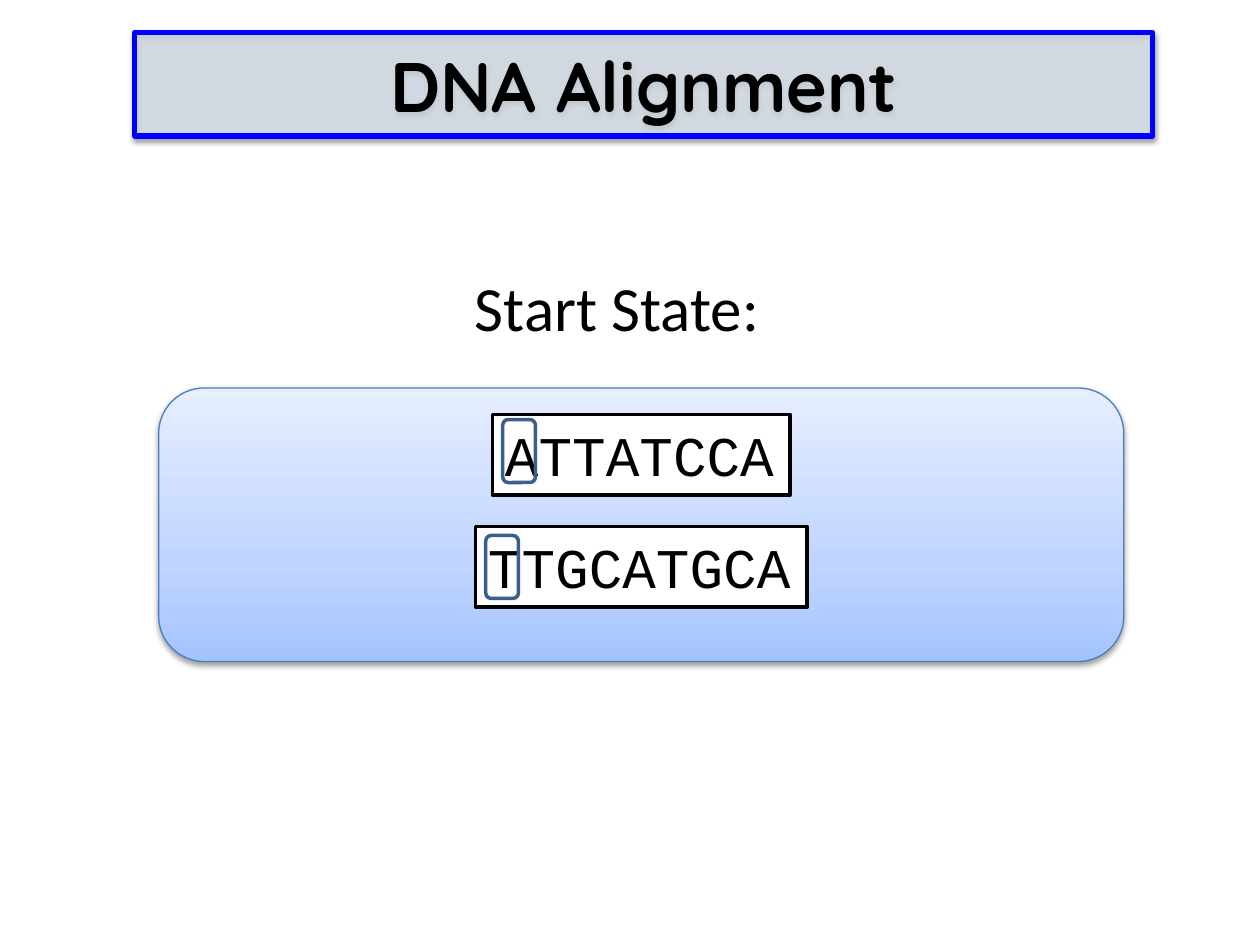
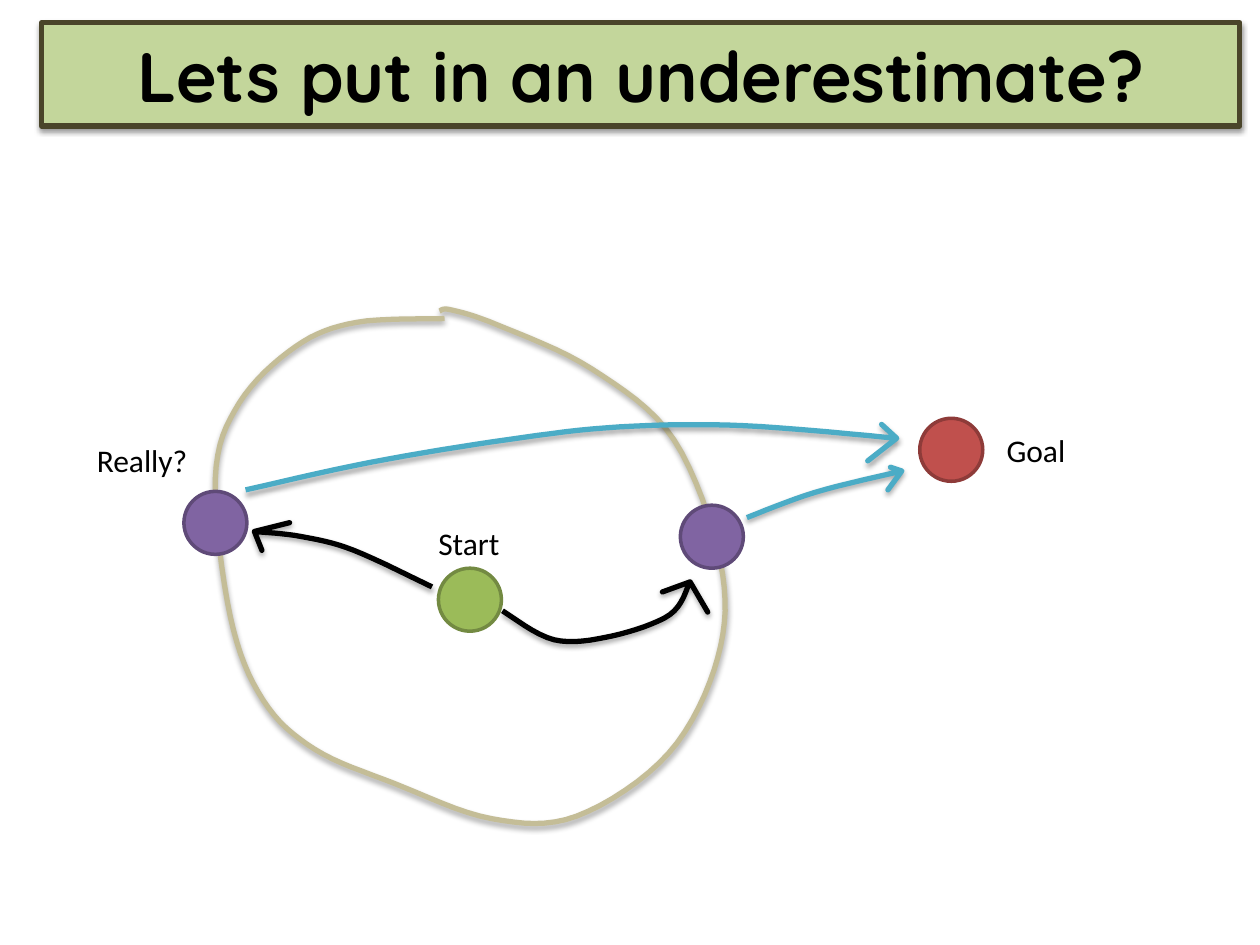
from copy import deepcopy
from lxml.etree import SubElement
from pptx import Presentation
from pptx.dml.color import RGBColor
from pptx.enum.shapes import MSO_SHAPE
from pptx.enum.text import MSO_ANCHOR, MSO_AUTO_SIZE, PP_ALIGN
from pptx.oxml.ns import qn
from pptx.util import Inches, Pt

BLACK = RGBColor(0x00, 0x00, 0x00)
WHITE = RGBColor(0xFF, 0xFF, 0xFF)
BLUE = RGBColor(0x00, 0x00, 0xFF)
PALE_BLUE = RGBColor(0xDC, 0xE6, 0xF2)
PANEL_EDGE = RGBColor(0x4B, 0x7E, 0xBC)
CURSOR_EDGE = RGBColor(0x3A, 0x5F, 0x8C)
LEAF = RGBColor(0xC3, 0xD6, 0x9B)
DARK_BROWN = RGBColor(0x4A, 0x45, 0x2A)
TAN = RGBColor(0xC4, 0xBD, 0x97)
TEAL = RGBColor(0x4B, 0xAC, 0xC6)
GREEN, GREEN_EDGE = RGBColor(0x9B, 0xBB, 0x59), RGBColor(0x73, 0x8A, 0x42)
RED, RED_EDGE = RGBColor(0xC0, 0x50, 0x4D), RGBColor(0x8E, 0x3B, 0x39)
PURPLE, PURPLE_EDGE = RGBColor(0x80, 0x64, 0xA2), RGBColor(0x5F, 0x4A, 0x78)
PANEL_STOPS = [
    (0, RGBColor(0xA4, 0xC4, 0xFF)),
    (0.35, RGBColor(0xBF, 0xD4, 0xFF)),
    (1, RGBColor(0xE6, 0xEE, 0xFF)),
]


def drop_shadow(shape, opacity, distance):
    """Cast a soft shadow downwards; opacity in percent, distance in points."""
    shape.shadow.inherit = False
    effects = shape._element.spPr.find(qn("a:effectLst"))
    shadow = SubElement(effects, qn("a:outerShdw"), blurRad=str(Pt(3.1)),
                        dist=str(Pt(distance)), dir="5400000", rotWithShape="0")
    color = SubElement(shadow, qn("a:srgbClr"), val="000000")
    SubElement(color, qn("a:alpha"), val=str(opacity * 1000))


def add_label(slide, text, left, top, width, height, size, font="Calibri"):
    label = slide.shapes.add_textbox(Inches(left), Inches(top), Inches(width), Inches(height))
    frame = label.text_frame
    frame.text = text
    frame.word_wrap = False
    frame.auto_size = MSO_AUTO_SIZE.SHAPE_TO_FIT_TEXT
    run_font = frame.paragraphs[0].runs[0].font
    run_font.name, run_font.size, run_font.color.rgb = font, Pt(size), BLACK
    return label


prs = Presentation()
prs.slide_width, prs.slide_height = Inches(10), Inches(7.5)

# Title bands
slides = []
for text, left, top, width, fill, edge in [
    ("DNA Alignment", 1.07, 0.26, 8.08, PALE_BLUE, BLUE),
    ("Lets put in an underestimate?", 0.33, 0.18, 9.51, LEAF, DARK_BROWN),
]:
    slide = prs.slides.add_slide(prs.slide_layouts[5])
    slides.append(slide)
    title = slide.shapes.title
    title.left, title.top = Inches(left), Inches(top)
    title.width, title.height = Inches(width), Inches(0.82)
    title.fill.solid()
    title.fill.fore_color.rgb = fill
    title.line.color.rgb = edge
    title.line.width = Pt(3)
    drop_shadow(title, 38, 1.6)
    frame = title.text_frame
    frame.text = text
    frame.auto_size = MSO_AUTO_SIZE.NONE
    frame.vertical_anchor = MSO_ANCHOR.MIDDLE
    paragraph = frame.paragraphs[0]
    paragraph.alignment = PP_ALIGN.CENTER
    font = paragraph.runs[0].font
    font.name, font.size, font.bold = "Quicksand", Pt(40), True
    font.color.rgb = BLACK
alignment, search = slides

# Slide 1: two strands on a panel, each with a cursor on its first base
band_color = alignment.shapes.title._element.spPr.find(qn("a:solidFill"))[0]
SubElement(band_color, qn("a:alpha"), val="60000")

PANEL_LEFT, PANEL_WIDTH = 1.26, 7.66
panel = alignment.shapes.add_shape(MSO_SHAPE.ROUNDED_RECTANGLE, Inches(PANEL_LEFT),
                                   Inches(3.08), Inches(PANEL_WIDTH), Inches(2.17))
panel.fill.gradient()
panel.fill.gradient_angle = 90
stop_list = panel._element.spPr.find(".//" + qn("a:gsLst"))
stop_list.insert(1, deepcopy(stop_list[0]))  # a new gradient has only two stops
for stop, (position, color) in zip(panel.fill.gradient_stops, PANEL_STOPS):
    stop.position = position
    stop.color.rgb = color
panel.line.color.rgb = PANEL_EDGE
panel.line.width = Pt(0.75)
drop_shadow(panel, 38, 1.6)

BASE_WIDTH = 0.27
STRAND_MARGIN = 0.1
panel_center = PANEL_LEFT + PANEL_WIDTH / 2
for row, sequence in enumerate(["ATTATCCA", "TTGCATGCA"]):
    strand_width = BASE_WIDTH * len(sequence) + 2 * STRAND_MARGIN
    strand_left = panel_center - strand_width / 2
    strand = add_label(alignment, sequence, strand_left, 3.29 + 0.89 * row,
                       strand_width, 0.64, 32, "Courier New")
    strand.fill.solid()
    strand.fill.fore_color.rgb = WHITE
    strand.line.color.rgb = BLACK
    strand.line.width = Pt(2)
    cursor = alignment.shapes.add_shape(
        MSO_SHAPE.ROUNDED_RECTANGLE, Inches(strand_left + 0.08), Inches(3.33 + 0.92 * row),
        Inches(0.26), Inches(0.5))
    cursor.fill.background()
    cursor.line.color.rgb = CURSOR_EDGE
    cursor.line.width = Pt(2)
    cursor.shadow.inherit = False

add_label(alignment, "Start State:", 3.67, 2.08, 2.47, 0.71, 36)

# Slide 2: each stroke is a smooth curve through a few knots (inches);
# an arrow ends in two barbs drawn from its tip
CURVE_STEPS = 8
frontier = [(3.53, 2.53), (2.83, 2.56), (2.35, 2.75), (1.9, 3.2), (1.71, 3.8), (1.83, 4.9),
            (2.09, 5.56), (2.5, 5.95), (3.13, 6.22), (3.9, 6.5), (4.58, 6.48), (5.31, 5.98),
            (5.7, 5.22), (5.72, 4.46), (5.35, 3.49), (4.7, 2.93), (3.95, 2.58),
            (3.58, 2.46), (3.49, 2.47)]
start_to_left = [(3.43, 4.66), (2.81, 4.37), (2.39, 4.26), (2.02, 4.22)]
start_to_right = [(3.99, 4.85), (4.4, 5.08), (4.86, 5.05), (5.32, 4.88), (5.48, 4.62)]
left_to_goal = [(1.95, 3.89), (2.95, 3.67), (4.04, 3.49), (4.92, 3.39), (5.9, 3.38),
                (7.12, 3.48)]
right_to_goal = [(5.93, 4.11), (6.47, 3.91), (7.16, 3.74)]

for knots, barbs, color in [
    (frontier, [], TAN),
    (start_to_left, [(2.08, 4.37), (2.3, 4.15)], BLACK),
    (start_to_right, [(5.26, 4.7), (5.62, 4.86)], BLACK),
    (left_to_goal, [(7, 3.37), (6.89, 3.66)], TEAL),
    (right_to_goal, [(7.07, 3.71), (7.05, 3.89)], TEAL),
]:
    # Catmull-Rom spline: from p1 to p2, with neighbours p0 and p3 giving the slope
    padded = [knots[0], *knots, knots[-1]]
    points = [knots[0]]
    for segment in zip(padded, padded[1:], padded[2:], padded[3:]):
        for step in range(1, CURVE_STEPS + 1):
            t = step / CURVE_STEPS
            points.append([
                p1 + t * (p2 - p0) / 2
                + t**2 * (2 * p0 - 5 * p1 + 4 * p2 - p3) / 2
                + t**3 * (3 * p1 - p0 - 3 * p2 + p3) / 2
                for p0, p1, p2, p3 in zip(*segment)
            ])
    for barb in barbs:
        points += [barb, knots[-1]]

    thousandths = [(x * 1000, y * 1000) for x, y in points]
    builder = search.shapes.build_freeform(*thousandths[0], scale=Inches(0.001))
    builder.add_line_segments(thousandths[1:], close=False)
    stroke = builder.convert_to_shape()
    stroke.fill.background()
    stroke.line.color.rgb = color
    stroke.line.width = Pt(3)
    drop_shadow(stroke, 35, 1.8)

NODE_SIZE = Inches(0.5)
for left, top, fill, edge in [
    (3.48, 4.51, GREEN, GREEN_EDGE),
    (7.3, 3.32, RED, RED_EDGE),
    (1.46, 3.9, PURPLE, PURPLE_EDGE),
    (5.4, 4.01, PURPLE, PURPLE_EDGE),
]:
    node = search.shapes.add_shape(MSO_SHAPE.OVAL, Inches(left), Inches(top),
                                   NODE_SIZE, NODE_SIZE)
    node.fill.solid()
    node.fill.fore_color.rgb = fill
    node.line.color.rgb = edge
    node.line.width = Pt(2)
    node.shadow.inherit = False

for text, left, top, width in [
    ("Start", 3.38, 4.11, 0.69),
    ("Goal", 7.89, 3.37, 0.67),
    ("Really?", 0.67, 3.45, 0.93),
]:
    add_label(search, text, left, top, width, 0.4, 18)

prs.save("out.pptx")
